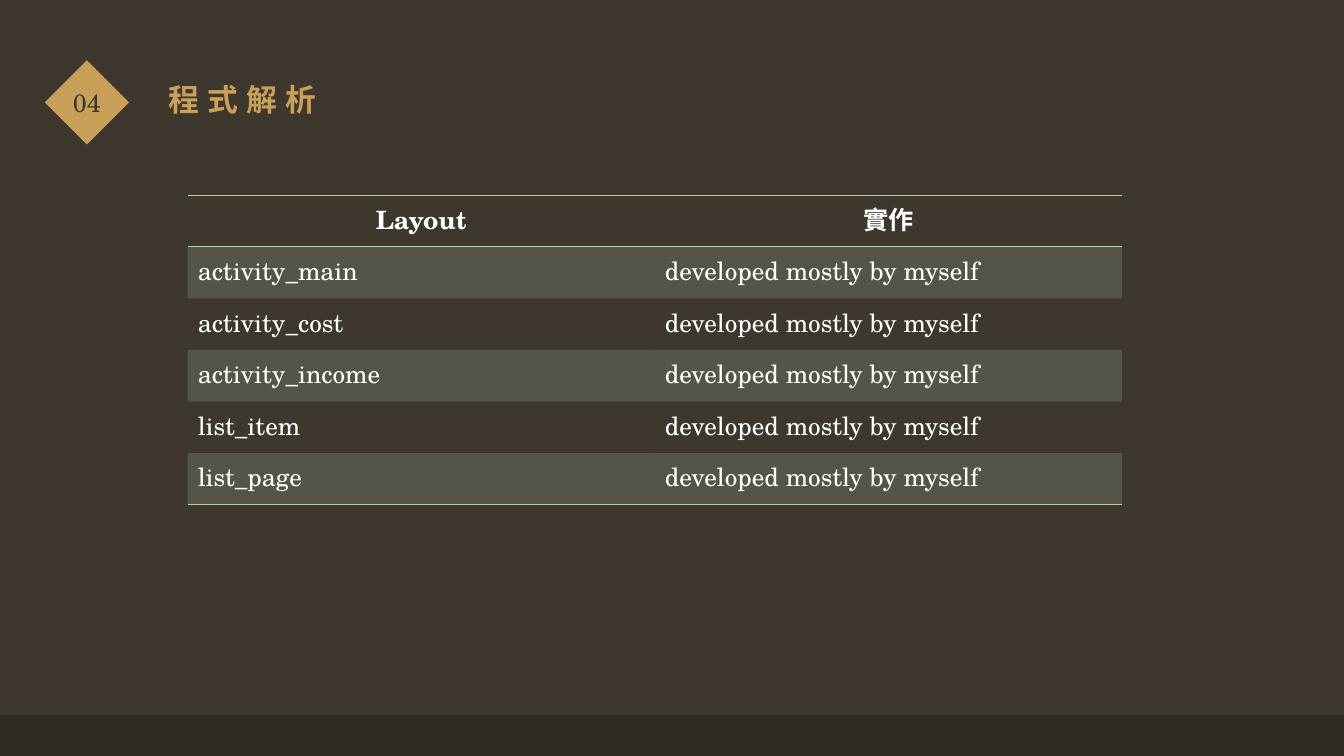
"""Build the program analysis slide with its layout table."""
from pptx import Presentation
from pptx.dml.color import RGBColor
from pptx.enum.shapes import MSO_SHAPE
from pptx.enum.text import MSO_ANCHOR, MSO_AUTO_SIZE, PP_ALIGN
from pptx.oxml import parse_xml
from pptx.oxml.ns import nsdecls, qn
from pptx.util import Cm, Pt

BROWN = RGBColor(0x3D, 0x37, 0x2E)
DARK_BROWN = RGBColor(0x2E, 0x29, 0x23)
GOLD = RGBColor(0xC9, 0xA0, 0x57)
SAGE = RGBColor(0xB2, 0xD0, 0xB4)
WHITE = RGBColor(0xFF, 0xFF, 0xFF)
FONT = "TeX Gyre Schola"
NO_STYLE = "{2D5ABB26-0587-4C30-8999-92F81FD0307C}"

PAGE_WIDTH, PAGE_HEIGHT = 33.87, 19.05
FOOTER_HEIGHT = 1.02
HEADER = ("Layout", "實作")
LAYOUTS = ("activity_main", "activity_cost", "activity_income", "list_item", "list_page")
ROWS = [HEADER] + [(name, "developed mostly by myself") for name in LAYOUTS]


class SlideBuilder:
    """Hold the style and the current page."""

    def __init__(self, deck):
        self.page = deck.slides.add_slide(deck.slide_layouts[5])
        self.page.background.fill.solid()
        self.page.background.fill.fore_color.rgb = BROWN

    def set_text(self, frame, text, size, color, bold=False, align=PP_ALIGN.LEFT):
        frame.text = text
        para = frame.paragraphs[0]
        para.alignment = align
        span = para.runs[0]
        span.font.name = FONT
        span.font.size = Pt(size)
        span.font.bold = bold
        span.font.color.rgb = color
        return span

    def fit(self, frame, anchor, left=0):
        frame.margin_left = Cm(left)
        frame.margin_top = frame.margin_right = frame.margin_bottom = 0
        frame.vertical_anchor = anchor
        frame.word_wrap = False
        frame.auto_size = MSO_AUTO_SIZE.NONE

    def shape(self, kind, left, top, width, height, color):
        shape = self.page.shapes.add_shape(kind, Cm(left), Cm(top), Cm(width), Cm(height))
        shape.shadow.inherit = False
        shape.fill.solid()
        shape.fill.fore_color.rgb = color
        shape.line.fill.background()
        return shape

    def badge(self, text, left, top, size):
        diamond = self.shape(MSO_SHAPE.DIAMOND, left, top, size, size, GOLD)
        self.fit(diamond.text_frame, MSO_ANCHOR.MIDDLE)
        self.set_text(diamond.text_frame, text, 18, BROWN, align=PP_ALIGN.CENTER)

    def title(self, text, left, top, width, height):
        title = self.page.shapes.title
        title.left, title.top, title.width, title.height = map(Cm, (left, top, width, height))
        self.fit(title.text_frame, MSO_ANCHOR.BOTTOM, left=1)
        span = self.set_text(title.text_frame, text, 22, GOLD, bold=True)
        span._r.get_or_add_rPr().set("spc", "600")

    def border(self, cell, sides):
        properties = cell._tc.get_or_add_tcPr()
        for position, side in enumerate(sides):
            properties.insert(position, parse_xml(
                f'<a:ln{side} {nsdecls("a")} w="{Pt(1)}"><a:solidFill>'
                f'<a:srgbClr val="{SAGE}"/></a:solidFill></a:ln{side}>'))

    def shade(self, cell):
        cell.fill.solid()
        cell.fill.fore_color.rgb = SAGE
        color = cell._tc.tcPr.find(qn("a:solidFill")).find(qn("a:srgbClr"))
        color.append(parse_xml(f'<a:alpha {nsdecls("a")} val="20000"/>'))

    def table(self, rows, left, top, width, height):
        frame = self.page.shapes.add_table(
            len(rows), len(rows[0]), Cm(left), Cm(top), Cm(width), Cm(height))
        frame.element.xpath(".//a:tableStyleId")[0].text = NO_STYLE
        last = len(rows) - 1
        for row, texts in enumerate(rows):
            heading = row == 0
            align = PP_ALIGN.CENTER if heading else PP_ALIGN.LEFT
            for column, text in enumerate(texts):
                cell = frame.table.cell(row, column)
                self.set_text(cell.text_frame, text, 18, WHITE, heading, align)
                if row % 2:
                    self.shade(cell)
                else:
                    cell.fill.background()
                if heading:
                    self.border(cell, "TB")
                elif row == last:
                    self.border(cell, "B")


def main():
    deck = Presentation()
    deck.slide_width, deck.slide_height = Cm(PAGE_WIDTH), Cm(PAGE_HEIGHT)
    builder = SlideBuilder(deck)
    builder.shape(MSO_SHAPE.RECTANGLE, 0, PAGE_HEIGHT - FOOTER_HEIGHT,
                  PAGE_WIDTH, FOOTER_HEIGHT, DARK_BROWN)
    builder.badge("04", 1.13, 1.52, 2.12)
    builder.title("程式解析", 3.25, 2.16, 5.46, 0.81)
    builder.table(ROWS, 4.73, 4.92, 23.54, 7.8)
    deck.save("out.pptx")


if __name__ == "__main__":
    main()
